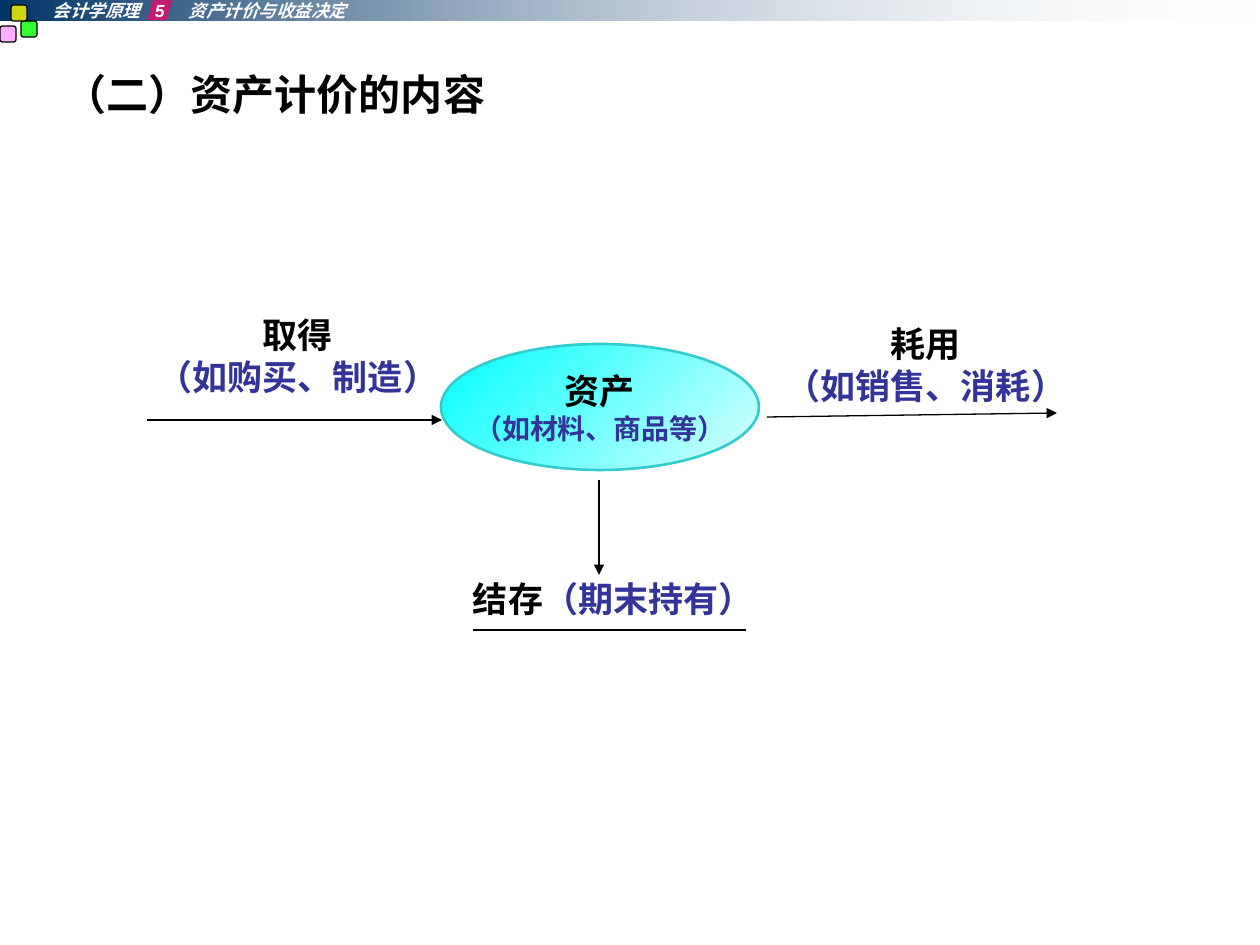
from lxml.etree import SubElement
from pptx import Presentation
from pptx.dml.color import RGBColor
from pptx.enum.shapes import MSO_CONNECTOR, MSO_SHAPE
from pptx.enum.text import MSO_ANCHOR, MSO_AUTO_SIZE, PP_ALIGN
from pptx.oxml.ns import qn
from pptx.util import Pt

EMU_PER_PX = 9144000 / 1260
COLORS = {
    "black": "000000", "white": "FFFFFF", "indigo": "333399",
    "navy": "003366", "mist": "E7ECF1",
    "pink": "FF99FF", "green": "00FF00", "yellow": "FFFF00", "rose": "FF0066",
    "cyan": "00FFFF", "pale": "D9FFFF", "teal": "33CCCC",
}
TITLE_FORMAT = {"size": Pt(24), "name": "Arial", "bold": True}
HEADER_FORMAT = {"size": Pt(10), "name": "Arial", "bold": True, "italic": True}
LABEL_FORMAT = {"size": Pt(20), "name": "Lato", "bold": True}
NOTE_FORMAT = LABEL_FORMAT | {"size": Pt(16)}


def px(value):
    return round(value * EMU_PER_PX)


def rgb(name):
    return RGBColor.from_string(COLORS[name])


def place(box, left, top, width, height):
    return [px(value) for value in (box[0] + left, box[1] + top, width, height)]


def write(paragraph, text, color, formats):
    run = paragraph.add_run()
    run.text = text
    run.font.color.rgb = rgb(color)
    for name, value in formats.items():
        setattr(run.font, name, value)


def set_frame(frame, inset=0, **formats):
    settings = {"word_wrap": True, "margin_left": px(inset), "margin_right": px(inset),
                "margin_top": px(inset // 2), "margin_bottom": px(inset // 2)}
    for name, value in (settings | formats).items():
        setattr(frame, name, value)


def add_text(slide, position, inset=0, auto_size=MSO_AUTO_SIZE.SHAPE_TO_FIT_TEXT):
    frame = slide.shapes.add_textbox(*position).text_frame
    set_frame(frame, inset, auto_size=auto_size)
    return frame


def write_pair(frame, label, note, note_format):
    frame.add_paragraph()
    rows = ((label, "black", LABEL_FORMAT), (note, "indigo", note_format))
    for paragraph, row in zip(frame.paragraphs, rows):
        paragraph.alignment = PP_ALIGN.CENTER
        write(paragraph, *row)


def set_alpha(color_element, percent):
    SubElement(color_element, qn("a:alpha"), val=str(percent * 1000))


def add_shape(slide, kind, position, fill, alpha=100, line=None, line_width=0.75, angle=0):
    shape = slide.shapes.add_shape(kind, *position)
    shape.shadow.inherit = False
    if isinstance(fill, tuple):
        shape.fill.gradient()
        shape.fill.gradient_angle = angle
        for stop, color in zip(shape.fill.gradient_stops, fill):
            stop.color.rgb = rgb(color)
    else:
        shape.fill.solid()
        shape.fill.fore_color.rgb = rgb(fill)
    if alpha < 100:
        set_alpha(list(shape.element.spPr.iter(qn("a:srgbClr")))[-1], alpha)
    if line:
        shape.line.color.rgb = rgb(line)
        shape.line.width = Pt(line_width)
    else:
        shape.line.fill.background()
    return shape


def add_line(slide, box, start, end, arrow=True):
    points = [px(box[axis] + point[axis]) for point in (start, end) for axis in (0, 1)]
    connector = slide.shapes.add_connector(MSO_CONNECTOR.STRAIGHT, *points)
    connector.line.color.rgb = rgb("black")
    connector.line.width = Pt(0.75)
    if arrow:
        SubElement(connector.line._get_or_add_ln(), qn("a:tailEnd"), type="triangle")
    SubElement(connector.element.spPr, qn("a:effectLst"))


def build_header(slide, box):
    add_shape(slide, MSO_SHAPE.RECTANGLE, place(box, 0, 0, *box[2:]), ("navy", "mist"), alpha=0)
    for left, top, color in ((0, 26, "pink"), (21, 21, "green"), (11, 5, "yellow")):
        square = add_shape(slide, MSO_SHAPE.ROUNDED_RECTANGLE, place(box, left, top, 16, 16),
                           color, alpha=80, line="black")
        square.adjustments[0] = 0.17
    badge = add_shape(slide, MSO_SHAPE.PARALLELOGRAM, place(box, 147, -2, 26, 22), "rose", alpha=70)
    badge.adjustments[0] = 0.3
    paragraph = add_text(slide, place(box, 53, 0, 368, 21)).paragraphs[0]
    tabs = SubElement(paragraph._p.get_or_add_pPr(), qn("a:tabLst"))
    for position in (102, 136):
        SubElement(tabs, qn("a:tab"), pos=str(px(position)), algn="l")
    write(paragraph, "会计学原理\t5\t资产计价与收益决定", "white", HEADER_FORMAT)


def build_title(slide, box):
    frame = add_text(slide, place(box, 0, 0, *box[2:]), inset=12, auto_size=MSO_AUTO_SIZE.NONE)
    write(frame.paragraphs[0], "（二）资产计价的内容", "black", TITLE_FORMAT)


def build_asset_flow(slide, box):
    asset = add_shape(slide, MSO_SHAPE.OVAL, place(box, 307, 30, 318, 126), ("cyan", "pale"),
                      line="teal", line_width=1.5, angle=315)
    set_frame(asset.text_frame, word_wrap=False, vertical_anchor=MSO_ANCHOR.MIDDLE)
    write_pair(asset.text_frame, "资产", "（如材料、商品等）", NOTE_FORMAT)

    for left, top, width, label, note in (
        (0, 0, 328, "取得", "（如购买、制造）"),
        (622, 9, 340, "耗用", "（如销售、消耗）"),
    ):
        write_pair(add_text(slide, place(box, left, top, width, 84)), label, note, LABEL_FORMAT)

    for start, end in (((13, 106), (308, 106)), ((633, 103), (923, 99)), ((465, 166), (465, 261))):
        add_line(slide, box, start, end)

    paragraph = add_text(slide, place(box, 339, 263, 294, 42)).paragraphs[0]
    write(paragraph, "结存", "black", LABEL_FORMAT)
    write(paragraph, "（期末持有）", "indigo", LABEL_FORMAT)
    add_line(slide, box, (339, 316), (612, 316), arrow=False)


def main():
    presentation = Presentation()
    presentation.slide_width, presentation.slide_height = px(1260), px(945)
    slide = presentation.slides.add_slide(presentation.slide_layouts[6])
    build_title(slide, (53, 63, 1155, 829))
    build_header(slide, (0, 0, 1260, 21))
    build_asset_flow(slide, (134, 314, 962, 316))
    presentation.save("out.pptx")


if __name__ == "__main__":
    main()
